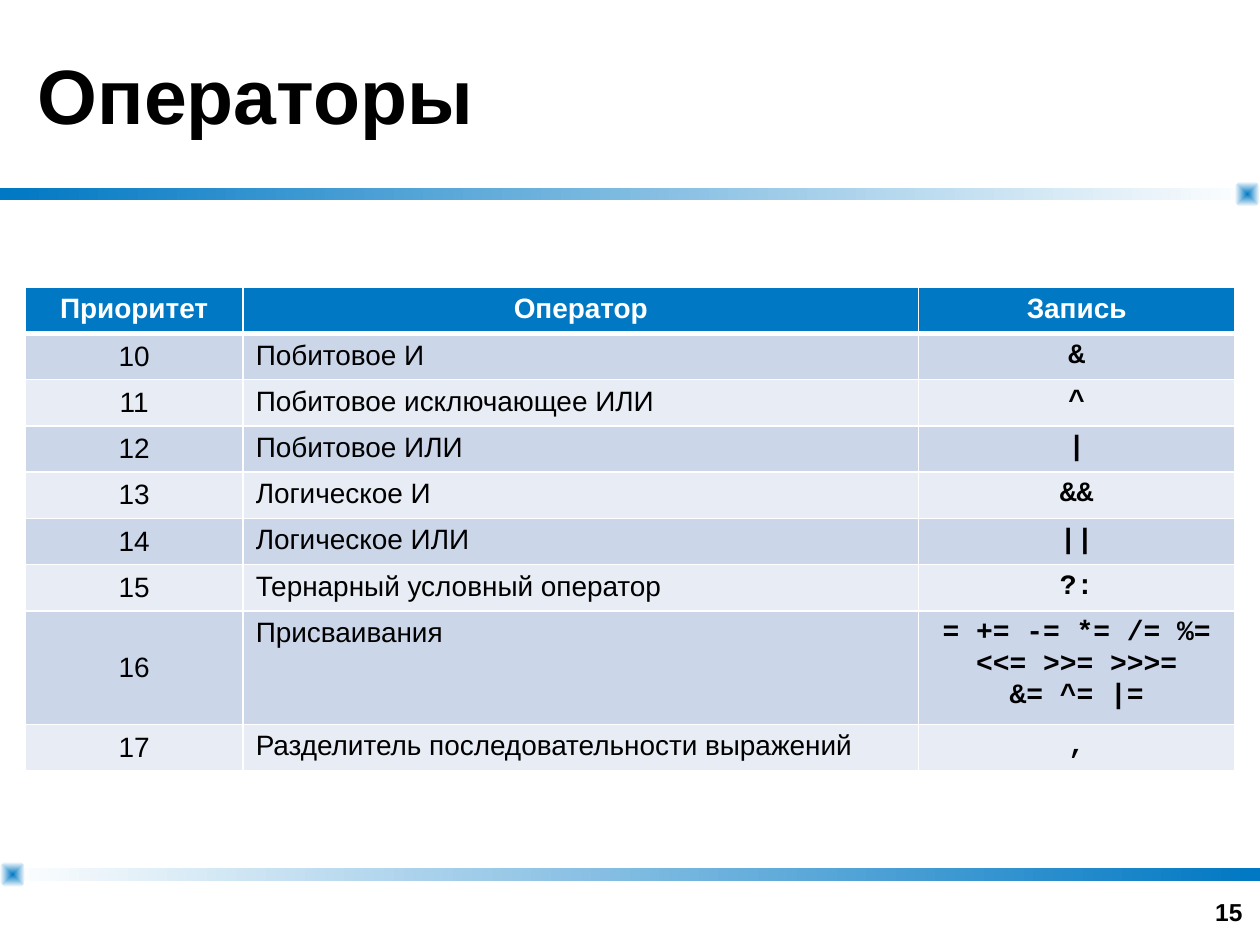
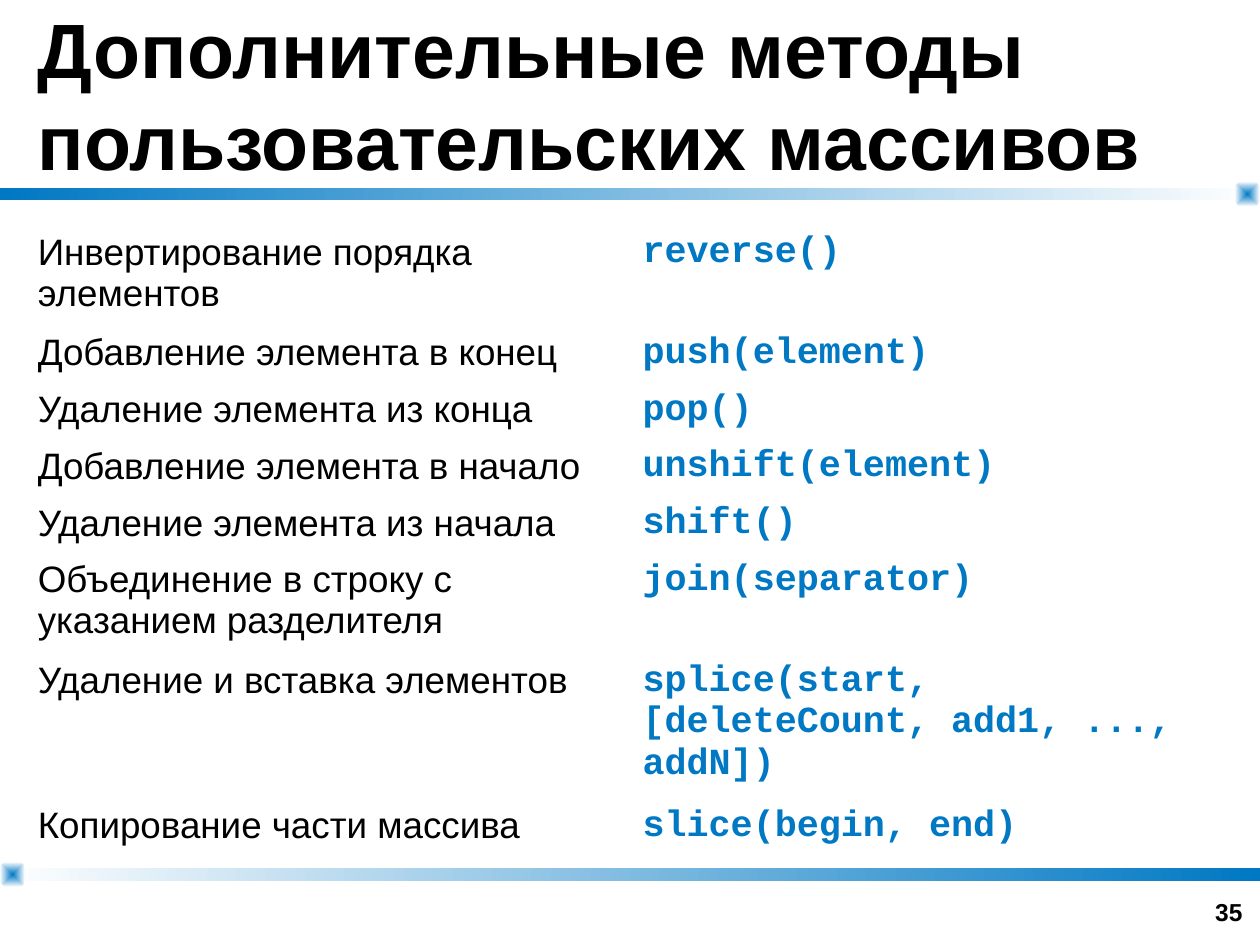
from pptx import Presentation
from pptx.dml.color import RGBColor
from pptx.enum.shapes import MSO_SHAPE as Shape
from pptx.enum.text import MSO_ANCHOR as Anchor, MSO_AUTO_SIZE as AutoSize, PP_ALIGN as Align
from pptx.oxml import parse_xml
from pptx.oxml.ns import nsdecls, qn
from pptx.util import Inches, Pt

# Shared look
BLUE, WHITE, BLACK = "0078C3", "FFFFFF", "000000"
ROW_FILLS = ("CCD6E9", "E7ECF5")
SANS, MONO = "Arial", "Courier New"
TITLE_ONLY = 5

OPERATOR_HEADINGS = ("Приоритет", "Оператор", "Запись")
OPERATORS = [
    ("10", "Побитовое И", "&"),
    ("11", "Побитовое исключающее ИЛИ", "^"),
    ("12", "Побитовое ИЛИ", "|"),
    ("13", "Логическое И", "&&"),
    ("14", "Логическое ИЛИ", "||"),
    ("15", "Тернарный условный оператор", "?:"),
    ("16", "Присваивания", "= += -= *= /= %=\n<<= >>= >>>=\n&= ^= |="),
    ("17", "Разделитель последовательности выражений", ","),
]
ARRAY_METHODS = [
    ("Инвертирование порядка элементов", "reverse()"),
    ("Добавление элемента в конец", "push(element)"),
    ("Удаление элемента из конца", "pop()"),
    ("Добавление элемента в начало", "unshift(element)"),
    ("Удаление элемента из начала", "shift()"),
    ("Объединение в строку с указанием разделителя", "join(separator)"),
    ("Удаление и вставка элементов", "splice(start, [deleteCount, add1, ..., addN])"),
    ("Копирование части массива", "slice(begin, end)"),
]


def color(hex_code):
    return RGBColor.from_string(hex_code)


def place(shape, box):
    shape.left, shape.top, shape.width, shape.height = map(Inches, box)


def write(frame, text, size, hex_code=BLACK, font=SANS, bold=False, align=Align.LEFT):
    para = frame.paragraphs[0]
    para.text = text
    para.alignment = align
    para.font.size = Pt(size)
    para.font.name = font
    para.font.bold = bold
    para.font.color.rgb = color(hex_code)


# Bands with end knobs
def add_gradient_shape(page, kind, box, stops):
    shape = page.shapes.add_shape(kind, *map(Inches, box))
    shape.shadow.inherit = False
    shape.line.fill.background()
    shape.fill.gradient()
    shape.fill.gradient_angle = 0
    for stop, position, hex_code in zip(shape.fill.gradient_stops, (0, 1), stops):
        stop.position = position
        stop.color.rgb = color(hex_code)
    return shape


def add_band(page, box, stops, knob_left):
    left, top, width, height = box
    add_gradient_shape(page, Shape.RECTANGLE, box, stops)
    knob_box = (knob_left, top + height / 2 - 0.1, 0.2, 0.2)
    knob = add_gradient_shape(page, Shape.ROUNDED_RECTANGLE, knob_box, (BLUE, WHITE))
    knob.adjustments[0] = 0.32
    # Let the knob's gradient run outward from its centre
    linear = next(knob._element.iter(qn("a:lin")))
    linear.getparent().replace(linear, parse_xml(
        f'<a:path {nsdecls("a")} path="shape">'
        '<a:fillToRect l="50000" t="50000" r="50000" b="50000"/></a:path>'))


def add_title(page, box, text):
    title = page.shapes.title
    place(title, box)
    frame = title.text_frame
    frame.auto_size = AutoSize.NONE
    frame.word_wrap = True
    frame.vertical_anchor = Anchor.MIDDLE
    write(frame, text, 44, bold=True)


def add_page_number(page, box, number):
    frame = page.shapes.add_textbox(*map(Inches, box)).text_frame
    frame.word_wrap = True
    frame.vertical_anchor = Anchor.BOTTOM
    write(frame, str(number), 14, bold=True, align=Align.RIGHT)


def add_page(deck, title, number):
    page = deck.slides.add_slide(deck.slide_layouts[TITLE_ONLY])
    add_band(page, (0, 1.49, 10, 0.1), (BLUE, WHITE), knob_left=9.8)
    add_band(page, (0, 6.89, 10, 0.1), (WHITE, BLUE), knob_left=0)
    add_title(page, (0.2, 0, 9.6, 1.49), title)
    add_page_number(page, (7.63, 6.9, 2.33, 0.5), number)
    return page


# Tables
def add_table(page, box, rows, widths, row_height):
    holder = page.shapes.add_table(len(rows), len(widths), *map(Inches, box))
    table = holder.table
    table.first_row = table.horz_banding = False
    for column, width in zip(table.columns, widths):
        column.width = Inches(width)
    for row in table.rows:
        row.height = Inches(row_height)
    # Rows grow with their text, so the frame keeps its full height
    place(holder, box)
    return table


def set_borders(cell, **points):
    properties = cell._tc.get_or_add_tcPr()
    for side in "LRTB":
        properties.append(parse_xml(
            f'<a:ln{side} {nsdecls("a")} w="{Pt(points.get(side, 1))}"><a:solidFill>'
            f'<a:srgbClr val="{WHITE}"/></a:solidFill></a:ln{side}>'))


def add_operator_table(page, box):
    rows = [OPERATOR_HEADINGS] + OPERATORS
    table = add_table(page, box, rows, (1.73, 5.36, 2.51), 0.31)
    for row_index, texts in enumerate(rows):
        heading = row_index == 0
        for column_index, text in enumerate(texts):
            cell = table.cell(row_index, column_index)
            set_borders(cell, T=3 if row_index == 1 else 1, B=3 if heading else 1)
            cell.fill.solid()
            cell.fill.fore_color.rgb = color(BLUE if heading else ROW_FILLS[(row_index - 1) % 2])
            if column_index == 0 and not heading:
                cell.vertical_anchor = Anchor.MIDDLE
            notation = column_index == 2
            write(cell.text_frame, text, 16,
                  hex_code=WHITE if heading else BLACK,
                  font=MONO if notation and not heading else SANS,
                  bold=heading or notation,
                  align=Align.LEFT if column_index == 1 and not heading else Align.CENTER)


def add_method_table(page, box):
    table = add_table(page, box, ARRAY_METHODS, (box[2] / 2,) * 2, 0.41)
    for row, (purpose, call) in zip(table.rows, ARRAY_METHODS):
        for cell in row.cells:
            cell.fill.background()
        write(row.cells[0].text_frame, purpose, 21)
        write(row.cells[1].text_frame, call, 21, BLUE, MONO, bold=True)


def main():
    deck = Presentation()
    deck.slide_width, deck.slide_height = Inches(10), Inches(7.5)
    operators_page = add_page(deck, "Операторы", 15)
    add_operator_table(operators_page, (0.2, 2.28, 9.6, 3.83))
    methods_page = add_page(deck, "Дополнительные методы пользовательских массивов", 35)
    add_method_table(methods_page, (0.2, 1.79, 9.6, 5))
    deck.save("out.pptx")


if __name__ == "__main__":
    main()
